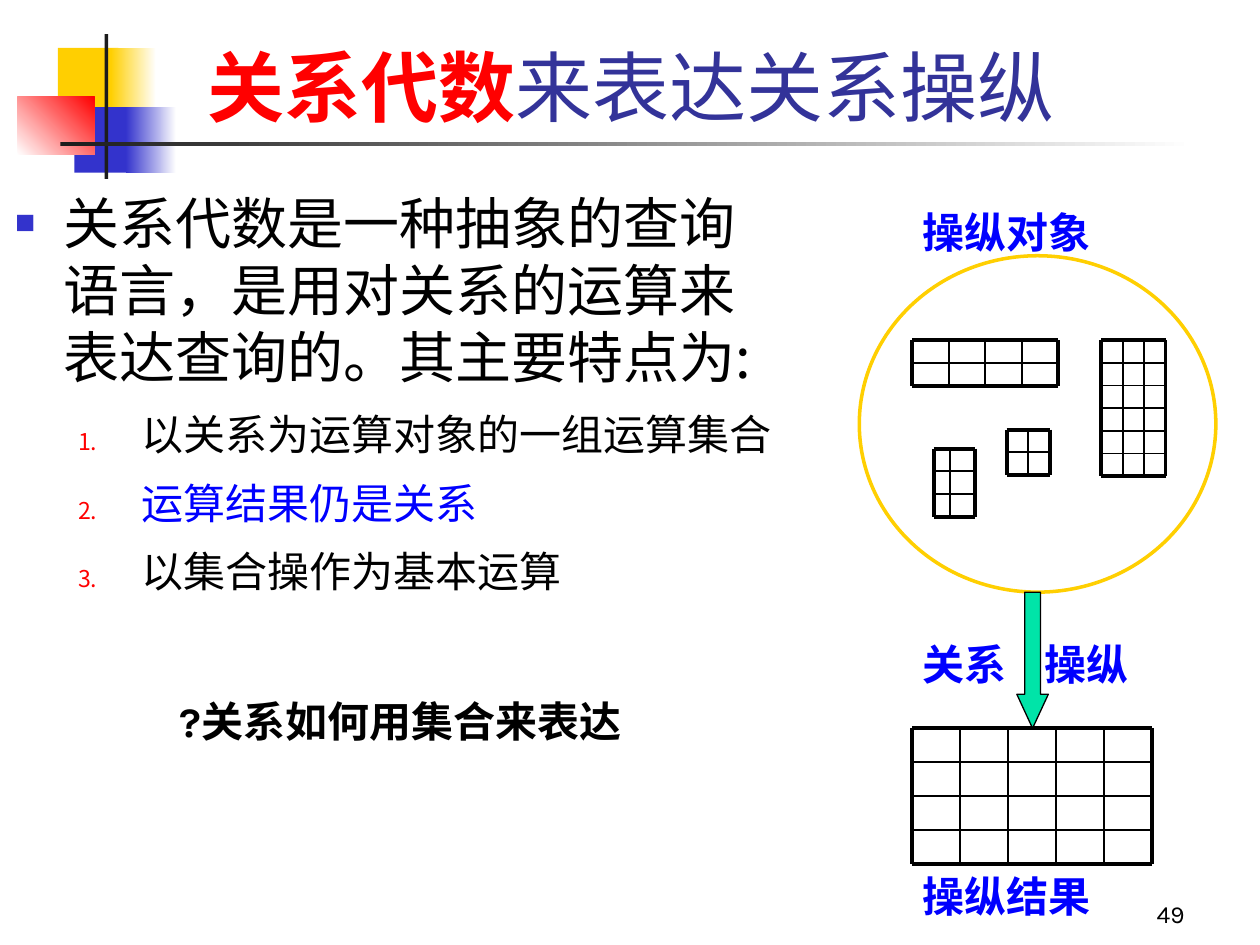
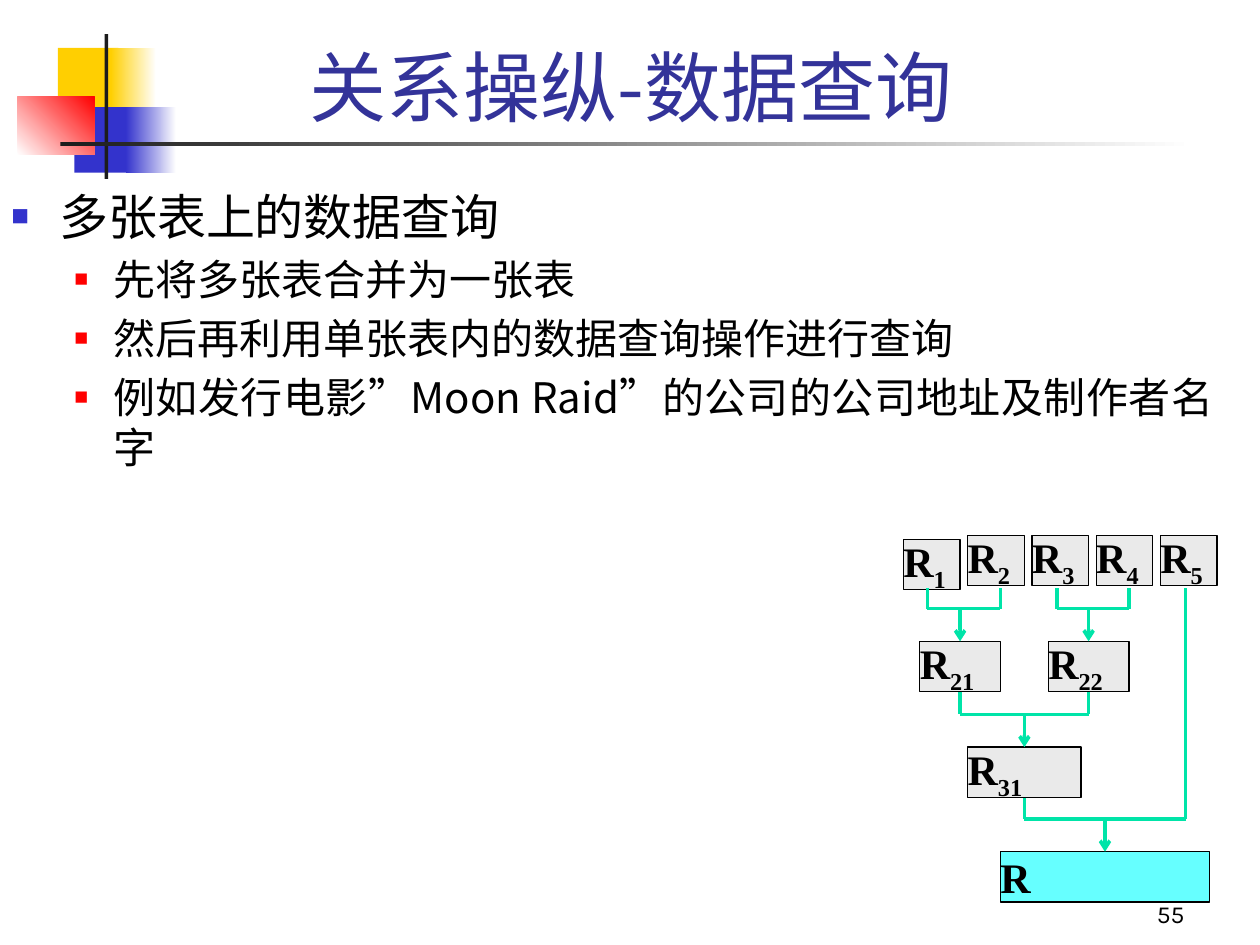
import itertools

import pptx
import pptx.dml.color
import pptx.enum.shapes
import pptx.enum.text
import pptx.oxml.ns
import pptx.util
from lxml import etree

Inches = pptx.util.Inches
Pt = pptx.util.Pt
SHAPE = pptx.enum.shapes.MSO_SHAPE
ALIGN = pptx.enum.text.PP_ALIGN
ANCHOR = pptx.enum.text.MSO_ANCHOR

HEI, SERIF, SANS = "Noto Sans CJK SC", "Times New Roman", "Karla"
BLACK, WHITE, INK = "000000", "FFFFFF", "1C1C1C"
RED, BLUE, GOLD = "FF0000", "0000FF", "FFCF01"
INDIGO, NAVY = "3333CC", "333399"
GREEN, GREY, CYAN = "00E4A8", "EAEAEA", "66FFFF"
TOP, BOTTOM = 0, 2


def rgb(value):
    return pptx.dml.color.RGBColor.from_string(value)


def add_xml(parent, tag, **attributes):
    return etree.SubElement(parent, pptx.oxml.ns.qn(tag), attributes)


def add_run(paragraph, text, size, color=BLACK, font=HEI, bold=False, baseline=None):
    run = paragraph.add_run()
    run.text = text
    run.font.size = Pt(size)
    run.font.bold = bold
    run.font.color.rgb = rgb(color)
    run.font.name = font
    properties = run._r.get_or_add_rPr()
    add_xml(properties, "a:ea", typeface=HEI)
    if baseline:
        properties.set("baseline", str(baseline))


def place(shape, left, top, width, height):
    shape.left, shape.top = Inches(left), Inches(top)
    shape.width, shape.height = Inches(width), Inches(height)


def set_frame(frame, anchor=ANCHOR.TOP, inset=None):
    frame.word_wrap = True
    frame.auto_size = pptx.enum.text.MSO_AUTO_SIZE.NONE
    frame.vertical_anchor = anchor
    if inset is not None:
        frame.margin_left = frame.margin_right = Inches(inset)
        frame.margin_top = frame.margin_bottom = Inches(inset)


def add_block(slide, kind, left, top, width, height, fill=None, line=None, weight=0.75):
    block = slide.shapes.add_shape(
        kind, Inches(left), Inches(top), Inches(width), Inches(height))
    block.shadow.inherit = False
    if fill:
        block.fill.solid()
        block.fill.fore_color.rgb = rgb(fill)
    else:
        block.fill.background()
    if line:
        block.line.color.rgb = rgb(line)
        block.line.width = Pt(weight)
    else:
        block.line.fill.background()
    return block


def add_fade(slide, left, top, width, height, start, end, angle=0):
    fade = add_block(slide, SHAPE.RECTANGLE, left, top, width, height)
    fade.fill.gradient()
    fade.fill.gradient_angle = angle
    for stop, color in zip(fade.fill.gradient_stops, (start, end)):
        stop.color.rgb = rgb(color)
    return fade


def add_line(slide, x1, y1, x2, y2, color, weight, arrow=False):
    line = slide.shapes.add_connector(
        pptx.enum.shapes.MSO_CONNECTOR.STRAIGHT,
        Inches(x1), Inches(y1), Inches(x2), Inches(y2))
    line.line.color.rgb = rgb(color)
    line.line.width = Pt(weight)
    if arrow:
        add_xml(line.line._get_or_add_ln(), "a:tailEnd", type="arrow")
    add_xml(line.element.spPr, "a:effectLst")
    return line


def add_text(slide, left, top, width, height, anchor=ANCHOR.TOP, inset=None):
    box = slide.shapes.add_textbox(
        Inches(left), Inches(top), Inches(width), Inches(height))
    set_frame(box.text_frame, anchor, inset)
    return box.text_frame.paragraphs[0]


def add_label(slide, text, top, tab=None):
    paragraph = add_text(slide, 7.32, top, 1.92, 0.4, inset=0)
    if tab:
        stops = add_xml(paragraph._p.get_or_add_pPr(), "a:tabLst")
        add_xml(stops, "a:tab", pos=str(Inches(tab)), algn="l")
    paragraph.line_spacing = Pt(31)
    add_run(paragraph, text, 24, BLUE, SERIF, bold=True)


def add_grid(slide, left, top, widths, heights):
    columns = list(itertools.accumulate(widths, initial=left))
    rows = list(itertools.accumulate(heights, initial=top))
    right, bottom = columns[-1], rows[-1]
    for y in rows:
        weight = 2.25 if y in (top, bottom) else 1
        add_line(slide, left, y, right, y, BLACK, weight)
    for x in columns:
        weight = 2.25 if x in (left, right) else 1
        add_line(slide, x, top, x, bottom, BLACK, weight)


def decorate_layout(slide, layout):
    rectangle = SHAPE.RECTANGLE
    ornaments = [
        add_block(slide, rectangle, 0.46, 0.38, 0.48, 0.52, GOLD),
        add_fade(slide, 0.88, 0.38, 0.36, 0.52, GOLD, WHITE),
        add_block(slide, rectangle, 0.59, 0.85, 0.46, 0.52, INDIGO),
        add_fade(slide, 1, 0.85, 0.4, 0.52, INDIGO, WHITE),
        add_fade(slide, 0.14, 0.77, 0.61, 0.46, WHITE, RED, 45),
        add_block(slide, rectangle, 0.83, 0.27, 0.03, 1.15, INK),
        add_fade(slide, 0.48, 1.13, 9, 0.03, INK, WHITE),
    ]
    tree = layout.element.cSld.spTree
    for position, ornament in enumerate(ornaments, start=2):
        tree.insert(position, ornament.element)


def set_title(slide, *parts):
    title = slide.shapes.title
    place(title, 0.75, 0.25, 8.52, 0.86)
    set_frame(title.text_frame, ANCHOR.MIDDLE)
    paragraph = title.text_frame.paragraphs[0]
    paragraph.alignment = ALIGN.CENTER
    for text, color, bold in parts:
        add_run(paragraph, text, 44, color, bold=bold)


def open_body(slide, left, top, width, height):
    body = slide.placeholders[1]
    place(body, left, top, width, height)
    set_frame(body.text_frame)
    body.text_frame.margin_top = Inches(0.09)
    return body.text_frame


def add_item(frame, text, size, spacing, level=0, indent=(0.38, 0.38),
             color=BLACK, numbered=False, align=ALIGN.JUSTIFY):
    first = not frame.paragraphs[0].runs
    paragraph = frame.paragraphs[0] if first else frame.add_paragraph()
    properties = paragraph._p.get_or_add_pPr()
    properties.set("marL", str(Inches(indent[0])))
    properties.set("indent", str(-Inches(indent[1])))
    marker_color = add_xml(properties, "a:buClr")
    add_xml(marker_color, "a:srgbClr", val=RED if level else INDIGO)
    add_xml(properties, "a:buSzPct", val="55000" if level else "60000")
    if numbered:
        add_xml(properties, "a:buAutoNum", type="arabicPeriod")
    else:
        add_xml(properties, "a:buFont", typeface=SERIF)
        add_xml(properties, "a:buChar", char="■")
    paragraph.level = level
    paragraph.alignment = align
    paragraph.line_spacing = Pt(spacing)
    paragraph.space_before = Pt(0 if first else size * 0.2)
    add_run(paragraph, text, size, color)


def add_page_number(slide, number):
    paragraph = add_text(slide, 7.42, 6.92, 2.08, 0.5, ANCHOR.BOTTOM)
    paragraph.alignment = ALIGN.RIGHT
    add_run(paragraph, str(number), 14, font=SANS)


def add_relation(slide, left, top, width, subscript="", fill=GREY):
    relation = add_block(slide, SHAPE.RECTANGLE, left, top, width, 0.4, fill, BLACK)
    set_frame(relation.text_frame, ANCHOR.MIDDLE, 0)
    paragraph = relation.text_frame.paragraphs[0]
    paragraph.alignment = ALIGN.JUSTIFY
    add_run(paragraph, "R", 24, font=SERIF, bold=True)
    if subscript:
        add_run(paragraph, subscript, 24, font=SERIF, bold=True, baseline=-25000)
    return relation


def add_merge(slide, stems, join, arrow_x, result):
    for x, top, source in stems:
        stem = add_line(slide, x, top, x, join, GREEN, 2)
        if source:
            stem.begin_connect(source, BOTTOM)
    add_line(slide, stems[0][0], join, stems[1][0], join, GREEN, 2)
    arrow = add_line(slide, arrow_x, join, arrow_x, join + 0.25, GREEN, 2, arrow=True)
    arrow.end_connect(result, TOP)


def build_algebra(slide):
    set_title(slide, ("关系代数", RED, True), ("来表达关系操纵", NAVY, False))
    body = open_body(slide, 0.02, 1.41, 6.35, 5.34)
    add_item(body, "关系代数是一种抽象的查询语言，是用对关系的运算来表达查询的。其主要特点为:",
             32, 38.3, align=ALIGN.LEFT)
    for feature, color in (("以关系为运算对象的一组运算集合", BLACK),
                           ("运算结果仍是关系", BLUE),
                           ("以集合操作为基本运算", BLACK)):
        add_item(body, feature, 24, 34.5, 1, (1, 0.5), color, numbered=True)

    question = add_text(slide, 0.83, 5.44, 6.1, 0.5)
    question._p.get_or_add_pPr().set("marL", str(Inches(0.5)))
    question.line_spacing = Pt(31)
    add_run(question, "?关系如何用集合来表达", 24, font=SANS, bold=True)

    add_block(slide, SHAPE.OVAL, 6.82, 2.03, 2.83, 2.67, line=GOLD, weight=2)
    add_grid(slide, 7.24, 2.7, [0.29] * 4, [0.18] * 2)
    add_grid(slide, 7.41, 3.56, [0.13, 0.2], [0.18] * 3)
    add_grid(slide, 7.99, 3.41, [0.17] * 2, [0.18] * 2)
    add_grid(slide, 8.74, 2.7, [0.17] * 3, [0.18] * 6)
    add_grid(slide, 7.24, 5.78, [0.38] * 5, [0.27] * 4)
    add_label(slide, "操纵对象", 1.61)
    add_label(slide, "操纵结果", 6.88)
    add_label(slide, "关系\t操纵", 5.04, tab=0.97)
    arrow = add_block(slide, SHAPE.DOWN_ARROW, 8.07, 4.7, 0.25, 1.08, GREEN, BLACK)
    arrow.adjustments[1] = 1.08
    add_page_number(slide, 49)


def build_query(slide):
    set_title(slide, ("关系操纵-数据查询", NAVY, False))
    body = open_body(slide, -0.01, 1.39, 9.74, 5.92)
    add_item(body, "多张表上的数据查询", 28, 33.5)
    for step in ("先将多张表合并为一张表",
                 "然后再利用单张表内的数据查询操作进行查询",
                 "例如发行电影”Moon Raid”的公司的公司地址及制作者名字"):
        add_item(body, step, 24, 28.8, 1, (0.81, 0.31))

    add_relation(slide, 7.17, 4.28, 0.45, "1")
    for number in range(2, 6):
        add_relation(slide, 7.68 + 0.51 * (number - 2), 4.25, 0.45, str(number))
    r21 = add_relation(slide, 7.3, 5.09, 0.64, "21")
    r22 = add_relation(slide, 8.32, 5.09, 0.64, "22")
    r31 = add_relation(slide, 7.68, 5.93, 0.9, "31")
    result = add_relation(slide, 7.94, 6.76, 1.66, fill=CYAN)

    add_merge(slide, [(7.36, 4.67, None), (7.94, 4.67, None)], 4.83, 7.62, r21)
    add_merge(slide, [(8.39, 4.67, None), (8.96, 4.67, None)], 4.83, 8.64, r22)
    add_merge(slide, [(7.62, 5.5, r21), (8.64, 5.5, r22)], 5.67, 8.13, r31)
    add_merge(slide, [(8.13, 6.33, r31), (9.41, 4.67, None)], 6.5, 8.77, result)
    add_page_number(slide, 55)


def main():
    deck = pptx.Presentation()
    deck.slide_width, deck.slide_height = Inches(10), Inches(7.5)
    layout = deck.slide_layouts[1]
    algebra = deck.slides.add_slide(layout)
    decorate_layout(algebra, layout)
    build_algebra(algebra)
    build_query(deck.slides.add_slide(layout))
    deck.save("out.pptx")


if __name__ == "__main__":
    main()
